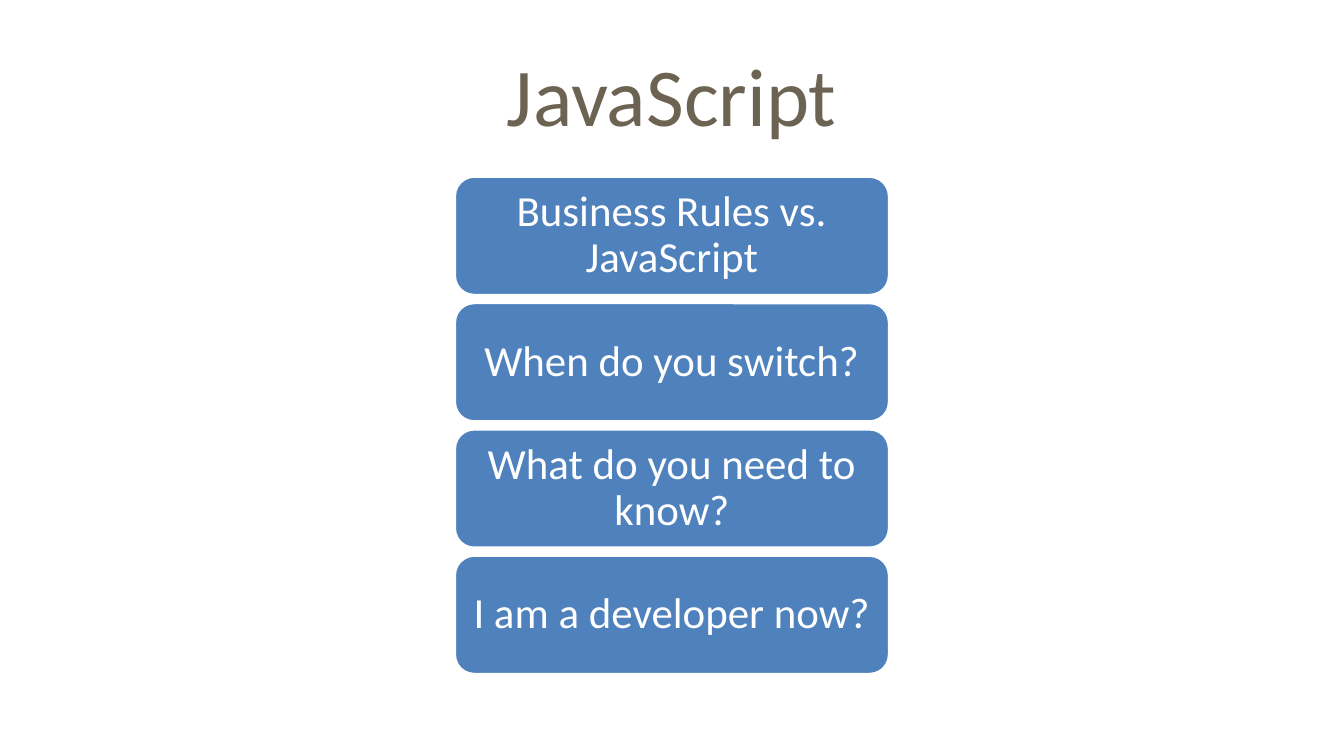
"""Build a slide with a title above a centred stack of JavaScript topics."""
import pptx
import pptx.dml.color
import pptx.enum.shapes
import pptx.enum.text
import pptx.util
from pptx.util import Inches

COLORS = {"title": "6C6352", "box": "4F81BD", "white": "FFFFFF"}
TOPICS = [
    "Business Rules vs. JavaScript",
    "When do you switch?",
    "What do you need to know?",
    "I am a developer now?",
]


def rgb(name):
    return pptx.dml.color.RGBColor.from_string(COLORS[name])


def write_text(shape, text, *, size, color, line_spacing=1.0, side_margin=0.1):
    frame = shape.text_frame
    frame.word_wrap = True
    frame.vertical_anchor = pptx.enum.text.MSO_ANCHOR.MIDDLE
    frame.margin_left = frame.margin_right = Inches(side_margin)
    frame.margin_top = frame.margin_bottom = Inches(0.05)
    paragraph = frame.paragraphs[0]
    paragraph.alignment = pptx.enum.text.PP_ALIGN.CENTER
    paragraph.line_spacing = line_spacing
    run = paragraph.add_run()
    run.text = text
    run.font.name = "Calibri"
    run.font.size = pptx.util.Pt(size)
    run.font.color.rgb = rgb(color)


def add_title(slide, text):
    shape = slide.shapes.add_textbox(Inches(0.5), Inches(0.23), Inches(9), Inches(0.94))
    write_text(shape, text, size=44, color="title")


def add_topic(slide, text, top):
    shape = slide.shapes.add_shape(
        pptx.enum.shapes.MSO_SHAPE.ROUNDED_RECTANGLE,
        Inches(3.38), Inches(top), Inches(3.24), Inches(0.89),
    )
    shape.shadow.inherit = False
    shape.fill.solid()
    shape.fill.fore_color.rgb = rgb("box")
    shape.line.color.rgb = rgb("white")
    shape.line.width = pptx.util.Pt(2)
    write_text(shape, text, size=23, color="white", line_spacing=0.9, side_margin=0.08)


def main():
    presentation = pptx.Presentation()
    presentation.slide_width = Inches(10)
    presentation.slide_height = Inches(10 * 9 / 16)
    slide = presentation.slides.add_slide(presentation.slide_layouts[6])
    add_title(slide, "JavaScript")
    for index, topic in enumerate(TOPICS):
        add_topic(slide, topic, top=1.31 + 0.94 * index)
    presentation.save("out.pptx")


if __name__ == "__main__":
    main()
